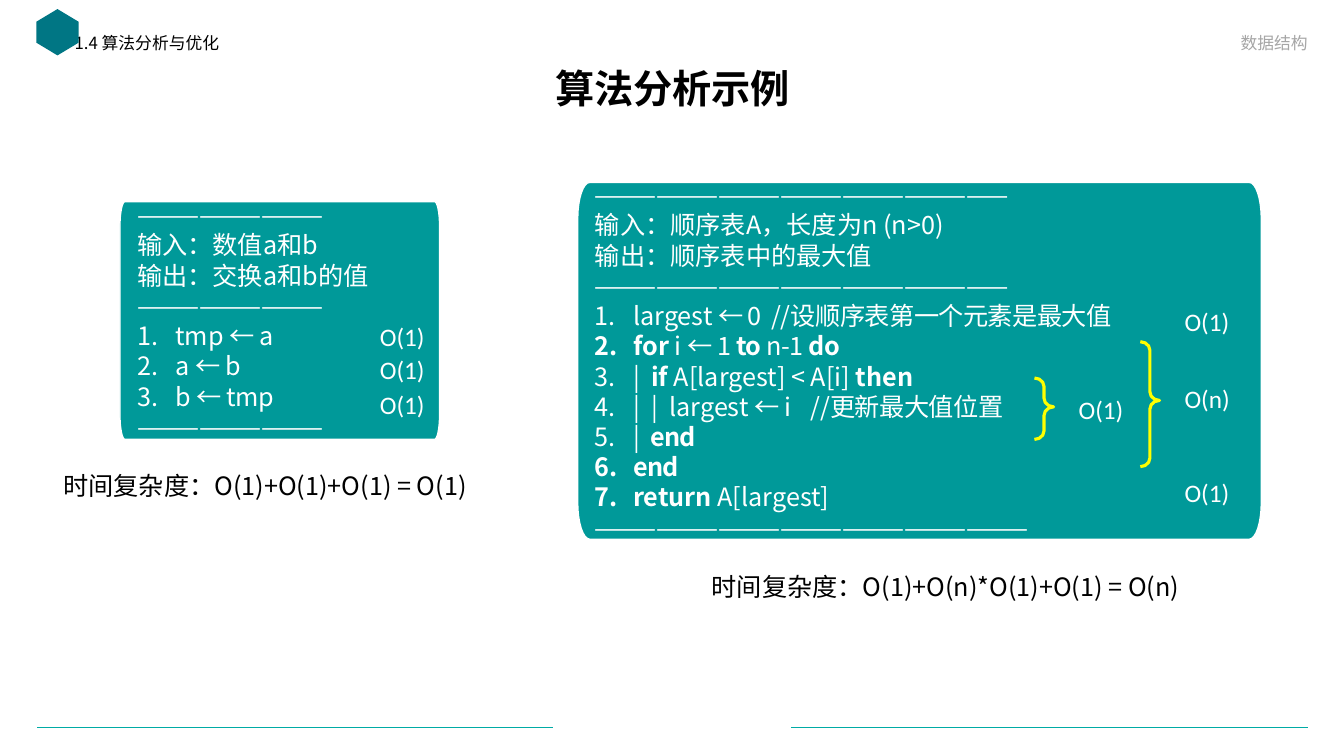
import math

import pptx
import pptx.util
import pptx.dml.color
import pptx.enum.shapes
import pptx.enum.text
import pptx.oxml.ns
from lxml import etree

Inches, Pt = pptx.util.Inches, pptx.util.Pt
RGB = pptx.dml.color.RGBColor.from_string
SHAPE = pptx.enum.shapes.MSO_SHAPE
ALIGN = pptx.enum.text.PP_ALIGN
ANCHOR = pptx.enum.text.MSO_ANCHOR
AUTO = pptx.enum.text.MSO_AUTO_SIZE
qn = pptx.oxml.ns.qn

COLORS = {"teal": "009999", "rule": "00ABA5", "mark": "007684", "white": "FFFFFF",
          "black": "000000", "gray": "A6A6A6", "brace": "FFFF00"}
CJK = "Noto Sans CJK SC"


def add_run(p, text, size, color, font=CJK, bold=False, tight=False):
    """Add one run; tight narrows the letter spacing by 0.4 pt."""
    r = p.add_run()
    r.text = text
    r.font.size = Pt(size)
    r.font.bold = bold
    r.font.color.rgb = RGB(COLORS[color])
    r.font.name = font
    rPr = r._r.get_or_add_rPr()
    etree.SubElement(rPr, qn("a:ea")).set("typeface", font)
    if tight:
        rPr.set("spc", "-40")


def rounded_outline(left, top, width, height, rx, ry):
    """Corner points of a box whose corners are quarter ellipses."""
    right, bottom = left + width, top + height
    centers = [(right - rx, bottom - ry), (left + rx, bottom - ry),
               (left + rx, top + ry), (right - rx, top + ry)]
    points = []
    for quarter, (cx, cy) in enumerate(centers):
        for step in range(9):
            angle = math.radians(90 * quarter + 90 * step / 8)
            points.append((Inches(cx + rx * math.cos(angle)),
                           Inches(cy + ry * math.sin(angle))))
    return points


prs = pptx.Presentation()
prs.slide_width, prs.slide_height = Inches(13.33), Inches(7.5)
s = prs.slides.add_slide(prs.slide_layouts[4])
shapes = s.shapes

# Footer rules and corner mark
for x1, x2 in [(0.37, 5.48), (7.85, 12.97)]:
    rule = shapes.add_connector(pptx.enum.shapes.MSO_CONNECTOR.STRAIGHT,
                                Inches(x1), Inches(7.22), Inches(x2), Inches(7.22))
    rule.line.color.rgb = RGB(COLORS["rule"])
    rule.line.width = Pt(0.5)
    etree.SubElement(rule._element.spPr, qn("a:effectLst"))

mark = shapes.add_shape(SHAPE.HEXAGON, Inches(0.34), Inches(0.11), Inches(0.46), Inches(0.42))
mark.rotation = 90
mark.adjustments[0] = 0.3
mark.shadow.inherit = False
mark.fill.solid()
mark.fill.fore_color.rgb = RGB(COLORS["mark"])
mark.line.fill.background()

# Title, section and course name
headings = [
    (0, "算法分析示例", (0.92, 0.62, 11.5, 0.57), 28, "black", True, ALIGN.CENTER, ANCHOR.MIDDLE, 0.9),
    (1, "1.4 算法分析与优化", (0.64, 0.3, 5.32, 0.36), 12, "black", False, ALIGN.LEFT, ANCHOR.TOP, 0.9),
    (3, "数据结构", (7.43, 0.22, 5.64, 0.35), 12, "gray", False, ALIGN.RIGHT, ANCHOR.BOTTOM, 1.0),
]
used = [h[0] for h in headings]
for ph in list(s.placeholders):
    if ph.placeholder_format.idx not in used:
        ph._element.getparent().remove(ph._element)
holders = {ph.placeholder_format.idx: ph for ph in s.placeholders}
for idx, text, box, size, color, bold, align, anchor, spacing in headings:
    ph = holders[idx]
    ph.left, ph.top, ph.width, ph.height = map(Inches, box)
    tf = ph.text_frame
    tf.auto_size = AUTO.NONE
    tf.vertical_anchor = anchor
    p = tf.paragraphs[0]
    p.alignment = align
    p.line_spacing = spacing
    p.space_before = Pt(0)
    add_run(p, text, size, color, bold=bold)

# Algorithm panels: plain lines are strings, numbered steps are lists of
# (text, style) with style "b" for bold and "t" for tight
swap_lines = [
    "—" * 9, "输入：数值a和b", "输出：交换a和b的值", "—" * 9,
    [("tmp ", ""), ("← a", "t")],
    [("a ", ""), ("← b", "t")],
    [("b ", ""), ("← tmp", "t")],
    "—" * 9,
]
largest_lines = [
    "—" * 20, "输入：顺序表A，长度为n (n>0)", "输出：顺序表中的最大值", "—" * 20,
    [("largest ", ""), ("← 0  //设顺序表第一个元素是最大值", "t")],
    [("for ", "b"), ("i ", ""), ("← 1 ", "t"), ("to", "bt"), (" n-1 ", "t"), ("do", "bt")],
    [("|  ", ""), ("if", "b"), (" A[largest] < A[i] ", ""), ("then", "b")],
    [("|  |  largest ", ""), ("← i    //更新最大值位置", "t")],
    [("|  ", "t"), ("end", "bt")],
    [("end", "bt")],
    [("return", "b"), (" A[largest]", "")],
    "—" * 21,
]
panels = [((1.19, 2, 3.17, 2.36), (0.05, 0.24), swap_lines),
          ((5.73, 1.81, 6.78, 3.54), (0.12, 0.36), largest_lines)]
for box, radii, lines in panels:
    points = rounded_outline(*box, *radii)
    builder = shapes.build_freeform(*points[0])
    builder.add_line_segments(points[1:], close=True)
    panel = builder.convert_to_shape()
    panel.shadow.inherit = False
    panel.fill.solid()
    panel.fill.fore_color.rgb = RGB(COLORS["teal"])
    panel.line.color.rgb = RGB(COLORS["white"])
    panel.line.width = Pt(1)
    tf = panel.text_frame
    tf.word_wrap = True
    tf.vertical_anchor = ANCHOR.MIDDLE
    tf.margin_left = tf.margin_right = tf.margin_top = tf.margin_bottom = Inches(0.17)
    for i, line in enumerate(lines):
        p = tf.add_paragraph() if i else tf.paragraphs[0]
        p.alignment = ALIGN.LEFT
        if isinstance(line, str):
            add_run(p, line, 18, "white")
            continue
        pPr = p._p.get_or_add_pPr()
        pPr.set("marL", str(Inches(0.38)))
        pPr.set("indent", str(-Inches(0.38)))
        etree.SubElement(pPr, qn("a:buAutoNum")).set("type", "arabicPeriod")
        for text, style in line:
            add_run(p, text, 18, "white", bold="b" in style, tight="t" in style)

# Braces around the loop body and the whole loop
for left, top, height in [(10.26, 3.75, 0.61), (11.31, 3.39, 1.24)]:
    brace = shapes.add_shape(SHAPE.RIGHT_BRACE, Inches(left), Inches(top),
                             Inches(0.19), Inches(height))
    brace.adjustments[0], brace.adjustments[1] = 0.45, 0.47
    brace.shadow.inherit = False
    brace.fill.background()
    brace.line.color.rgb = RGB(COLORS["brace"])
    brace.line.width = Pt(2.25)

# Step costs and total complexities
labels = [("O(1)", x, y, 0.65, "white", "Calibri") for x, y in
          [(3.67, 3.14), (3.67, 3.47), (3.67, 3.81), (10.6, 3.86), (11.65, 2.99), (11.65, 4.69)]]
labels += [
    ("O(n)", 11.65, 3.75, 0.66, "white", "Calibri"),
    ("时间复杂度：O(1)+O(1)+O(1) = O(1)", 0.53, 4.62, 4.51, "black", CJK),
    ("时间复杂度：O(1)+O(n)*O(1)+O(1) = O(n)", 6.96, 5.62, 5.17, "black", CJK),
]
for text, left, top, width, color, font in labels:
    tf = shapes.add_textbox(Inches(left), Inches(top), Inches(width), Inches(0.4)).text_frame
    tf.word_wrap = False
    tf.auto_size = AUTO.SHAPE_TO_FIT_TEXT
    add_run(tf.paragraphs[0], text, 18, color, font)

prs.save("out.pptx")
